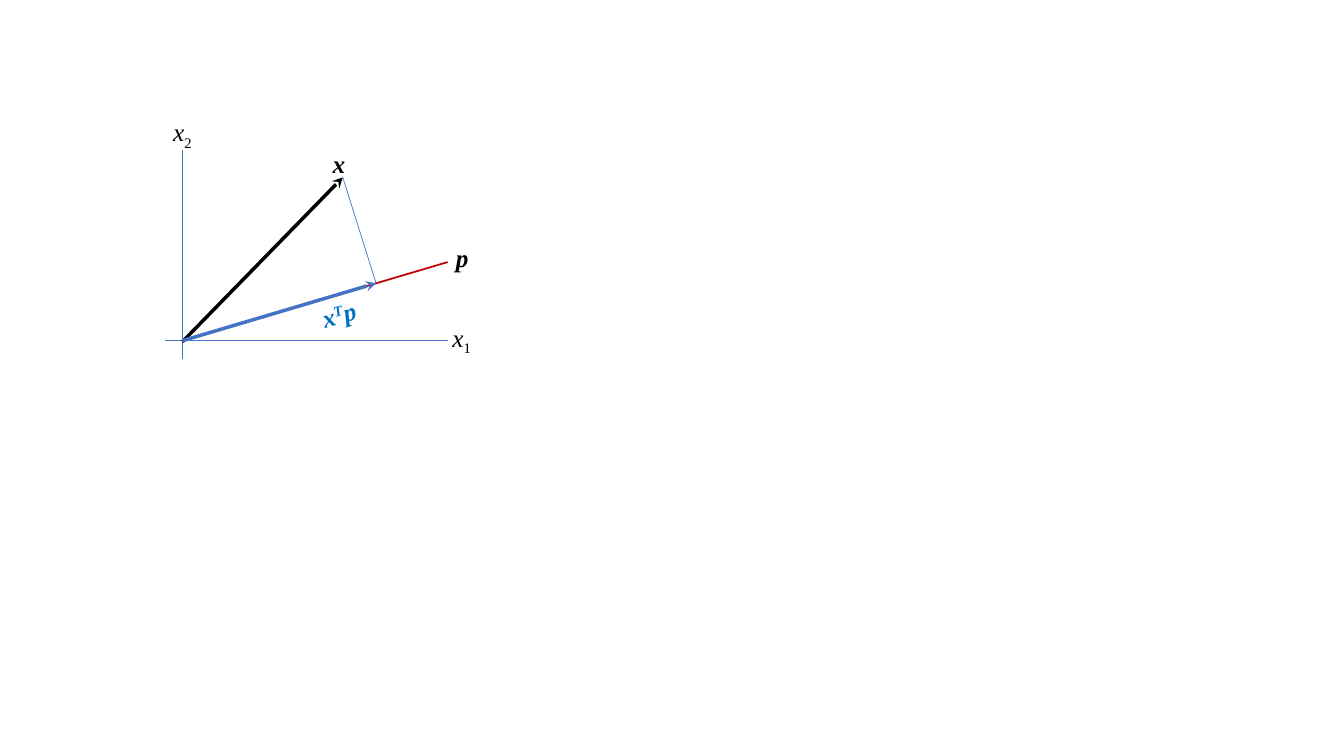
"""Draw the projection of a vector x onto a direction p."""
import dataclasses
import typing

import pptx
import pptx.dml.color
import pptx.enum.shapes
import pptx.enum.text
import pptx.oxml.ns
import pptx.slide
import pptx.util
from lxml import etree

Inches = pptx.util.Inches
Pt = pptx.util.Pt
Align = pptx.enum.text.PP_ALIGN
Point = tuple[float, float]


@dataclasses.dataclass(frozen=True)
class Theme:
    font: str = "Times New Roman"
    text_size: float = 18
    ink: str = "000000"
    blue: str = "4472C4"
    red: str = "C00000"
    product: str = "0070C0"
    thin: float = 0.5
    medium: float = 1.25
    thick: float = 2.5


THEME = Theme()


class Segment(typing.NamedTuple):
    start: Point
    end: Point
    color: str
    width: float
    arrow: bool = False


class Symbol(typing.NamedTuple):
    text: str
    baseline: int = 0
    italic: bool = True


class Label(typing.NamedTuple):
    left: float
    top: float
    width: float
    symbols: tuple[Symbol, ...]
    bold: bool = True
    color: str = THEME.ink
    align: Align = Align.CENTER
    rotation: float = 0


LABEL_HEIGHT = 0.4
ORIGIN = (1.81, 3.38)
X_TIP = (3.4, 1.76)
P_END = (4.44, 2.6)
FOOT = (3.73, 2.81)

SEGMENTS = (
    Segment((ORIGIN[0], 1.49), (ORIGIN[0], 3.56), THEME.blue, THEME.thin),
    Segment((1.64, ORIGIN[1]), (P_END[0], ORIGIN[1]), THEME.blue, THEME.thin),
    Segment((1.81, 3.39), X_TIP, THEME.ink, THEME.thick, arrow=True),
    Segment(ORIGIN, P_END, THEME.red, THEME.medium),
    Segment(X_TIP, FOOT, THEME.blue, THEME.thin),
    Segment(ORIGIN, FOOT, THEME.blue, THEME.thick, arrow=True),
)

LABELS = (
    Label(3.2, 1.42, 0.33, (Symbol("x"),), align=Align.LEFT),
    Label(4.38, 2.35, 0.41, (Symbol("p"),)),
    Label(3.09, 2.9, 0.66, (Symbol("x"), Symbol("T", 30), Symbol("p")),
          color=THEME.product, align=Align.LEFT, rotation=344),
    Label(4.33, 3.15, 0.5, (Symbol("x"), Symbol("1", -25, False)), bold=False),
    Label(1.56, 1.11, 0.5, (Symbol("x"), Symbol("2", -25, False)), bold=False),
)


def draw_segment(slide: pptx.slide.Slide, segment: Segment) -> None:
    """Draw one straight line, with a stealth head if it is an arrow."""
    stroke = slide.shapes.add_connector(
        pptx.enum.shapes.MSO_CONNECTOR.STRAIGHT,
        *(Inches(value) for value in segment.start + segment.end))
    stroke.line.color.rgb = pptx.dml.color.RGBColor.from_string(segment.color)
    stroke.line.width = Pt(segment.width)
    if segment.arrow:
        etree.SubElement(stroke.line._get_or_add_ln(),
                         pptx.oxml.ns.qn("a:tailEnd"), type="stealth")
    etree.SubElement(stroke._element.spPr, pptx.oxml.ns.qn("a:effectLst"))


def draw_label(slide: pptx.slide.Slide, label: Label) -> None:
    """Draw one math label with its raised or lowered symbols."""
    box = slide.shapes.add_textbox(
        Inches(label.left), Inches(label.top),
        Inches(label.width), Inches(LABEL_HEIGHT))
    box.rotation = label.rotation
    frame = box.text_frame
    frame.word_wrap = True
    frame.auto_size = pptx.enum.text.MSO_AUTO_SIZE.SHAPE_TO_FIT_TEXT
    formula = frame.paragraphs[0]
    formula.alignment = label.align
    formula.font.name = THEME.font
    formula.font.size = Pt(THEME.text_size)
    formula.font.bold = label.bold
    formula.font.color.rgb = pptx.dml.color.RGBColor.from_string(label.color)
    for symbol in label.symbols:
        run = formula.add_run()
        run.text = symbol.text
        run.font.italic = symbol.italic
        if symbol.baseline:
            run.font._element.set("baseline", str(symbol.baseline * 1000))


def main() -> None:
    """Build the slide and save it."""
    deck = pptx.Presentation()
    deck.slide_width, deck.slide_height = Inches(13.33), Inches(7.5)
    slide = deck.slides.add_slide(deck.slide_layouts[6])
    for segment in SEGMENTS:
        draw_segment(slide, segment)
    for label in LABELS:
        draw_label(slide, label)
    deck.save("out.pptx")


if __name__ == "__main__":
    main()
